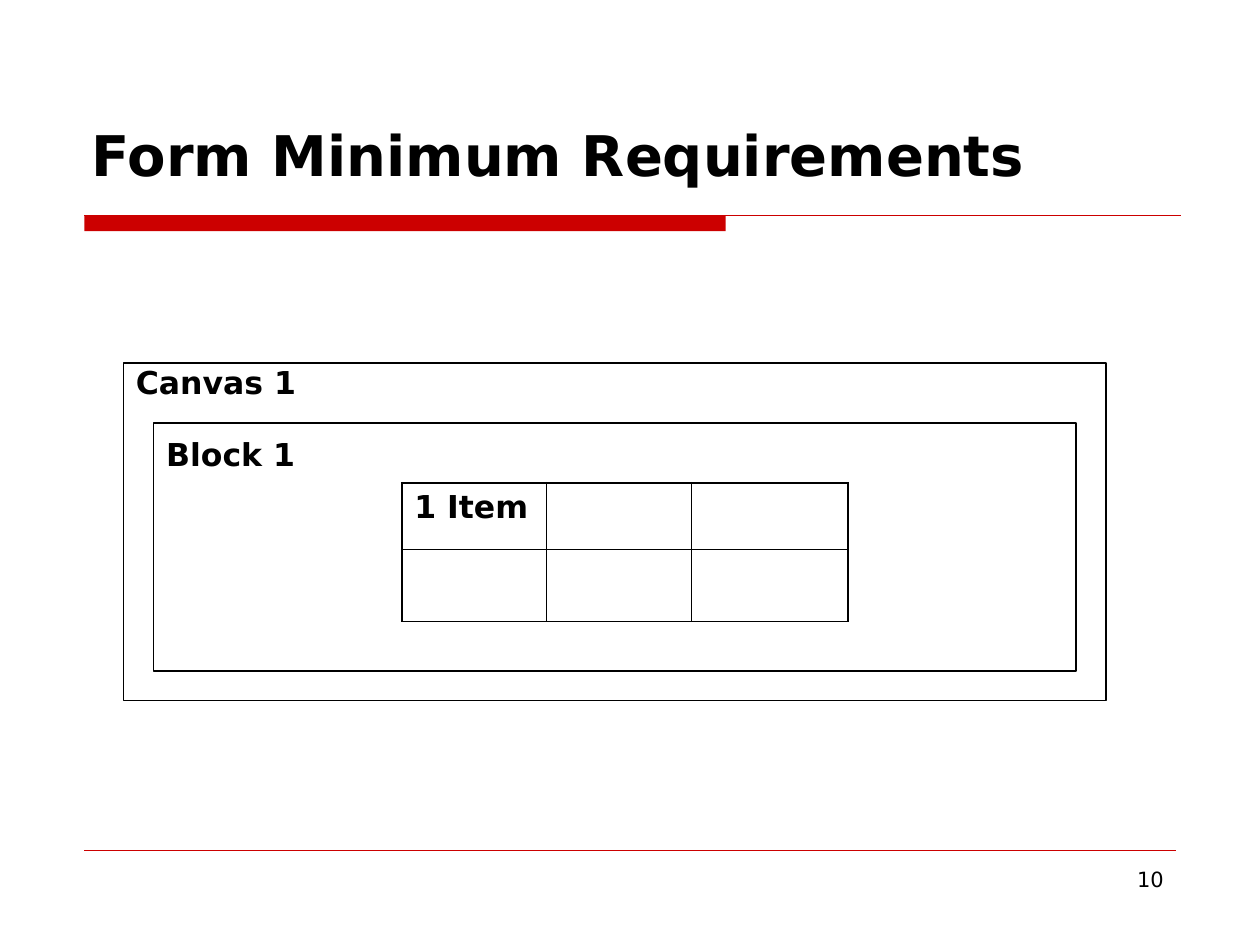
import dataclasses

import lxml.etree
import pptx
import pptx.dml.color
import pptx.enum.shapes
import pptx.enum.text
import pptx.oxml.ns
import pptx.util

Cm = pptx.util.Cm
Pt = pptx.util.Pt
RGB = pptx.dml.color.RGBColor
ANCHOR = pptx.enum.text.MSO_ANCHOR
ALIGN = pptx.enum.text.PP_ALIGN
SHAPE = pptx.enum.shapes.MSO_SHAPE
qn = pptx.oxml.ns.qn


@dataclasses.dataclass
class Theme:
    font: str = "DejaVu Sans"
    ink: str = "000000"
    accent: str = "CC0000"
    title: float = 32
    body: float = 18
    number: float = 12
    outline: float = 0.75
    hairline: float = 0.25
    grid_outer: float = 1.08
    grid_inner: float = 0.45


theme = Theme()


def write(tf, text, size, bold=True, align=ALIGN.LEFT, anchor=ANCHOR.TOP):
    tf.word_wrap = True
    tf.vertical_anchor = anchor
    p = tf.paragraphs[0]
    p.alignment = align
    r = p.add_run()
    r.text = text
    r.font.name = theme.font
    r.font.size = Pt(size)
    r.font.bold = bold
    r.font.color.rgb = RGB.from_string(theme.ink)


def border(cell, side, width):
    ln = lxml.etree.SubElement(cell._tc.get_or_add_tcPr(), qn(f"a:ln{side}"), w=str(Pt(width)))
    fill = lxml.etree.SubElement(ln, qn("a:solidFill"))
    lxml.etree.SubElement(fill, qn("a:srgbClr"), val=theme.ink)


prs = pptx.Presentation()
prs.slide_width = Cm(25.4)
prs.slide_height = Cm(19.05)
s = prs.slides.add_slide(prs.slide_layouts[6])

bar = s.shapes.add_shape(SHAPE.RECTANGLE, Cm(1.7), Cm(4.34), Cm(12.93), Cm(0.32))
bar.shadow.inherit = False
bar.fill.solid()
bar.fill.fore_color.rgb = RGB.from_string(theme.accent)
bar.line.fill.background()

for right, y, width in [(23.8, 4.34, theme.outline), (23.7, 17.14, theme.hairline)]:
    rule = s.shapes.add_connector(
        pptx.enum.shapes.MSO_CONNECTOR.STRAIGHT, Cm(1.7), Cm(y), Cm(right), Cm(y))
    rule.line.color.rgb = RGB.from_string(theme.accent)
    rule.line.width = Pt(width)
    lxml.etree.SubElement(rule._element.spPr, qn("a:effectLst"))

title = s.shapes.add_textbox(Cm(1.6), Cm(0.53), Cm(22.22), Cm(3.38))
write(title.text_frame, "Form Minimum Requirements", theme.title, anchor=ANCHOR.BOTTOM)

number = s.shapes.add_textbox(Cm(18.21), Cm(17.35), Cm(5.5), Cm(1.32))
write(number.text_frame, "10", theme.number, bold=False, align=ALIGN.RIGHT)

frames = [
    ("Canvas 1", 2.49, 7.32, 19.81, 6.81, 0),
    ("Block 1", 3.1, 8.53, 18.59, 5, 0.25),
]
for text, left, top, width, height, inset in frames:
    sp = s.shapes.add_shape(SHAPE.RECTANGLE, Cm(left), Cm(top), Cm(width), Cm(height))
    sp.shadow.inherit = False
    sp.fill.background()
    sp.line.color.rgb = RGB.from_string(theme.ink)
    sp.line.width = Pt(theme.outline)
    sp.text_frame.margin_top = Cm(inset)
    write(sp.text_frame, text, theme.body)

col_widths = [2.92, 2.92, 3.15]
row_heights = [1.35, 1.45]
rows, cols = len(row_heights), len(col_widths)
items = s.shapes.add_table(
    rows, cols, Cm(8.1), Cm(9.73), Cm(sum(col_widths)), Cm(sum(row_heights))).table
items.first_row = False
items.horz_banding = False
for col, width in zip(items.columns, col_widths):
    col.width = Cm(width)
for row, height in zip(items.rows, row_heights):
    row.height = Cm(height)
for i in range(rows):
    for j in range(cols):
        cell = items.cell(i, j)
        edges = {"L": j == 0, "R": j == cols - 1, "T": i == 0, "B": i == rows - 1}
        for side, outer in edges.items():
            border(cell, side, theme.grid_outer if outer else theme.grid_inner)
        cell.fill.background()
write(items.cell(0, 0).text_frame, "1 Item", theme.body)

prs.save("out.pptx")
